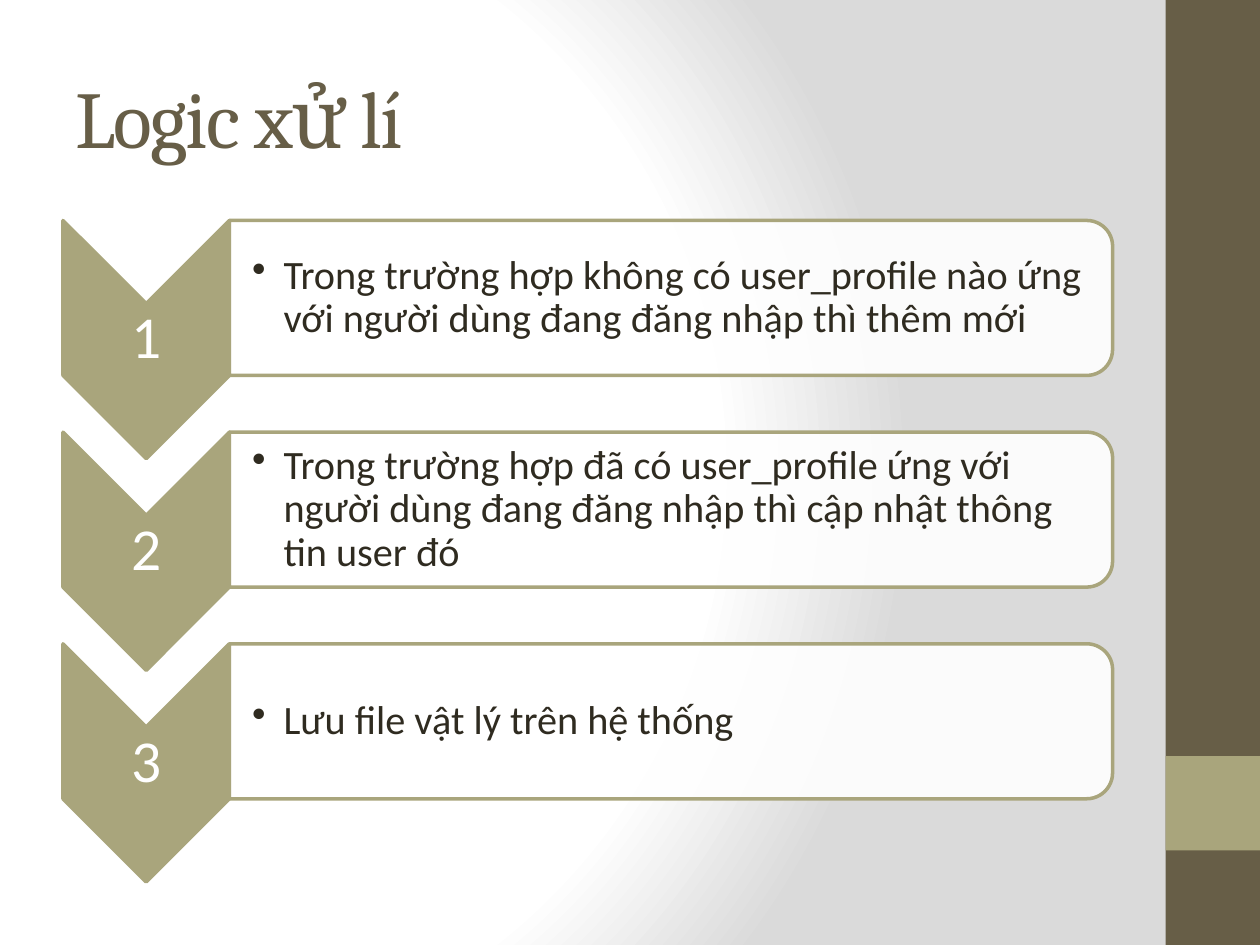
"""Build the "Logic xử lí" slide: three numbered chevrons with text cards."""
from dataclasses import dataclass

from lxml import etree
from pptx import Presentation
from pptx.dml.color import RGBColor
from pptx.enum.shapes import MSO_SHAPE
from pptx.enum.text import MSO_ANCHOR, PP_ALIGN
from pptx.oxml.ns import qn
from pptx.util import Inches, Pt

RECTANGLE = MSO_SHAPE.RECTANGLE
CHEVRON = MSO_SHAPE.CHEVRON
CARD = MSO_SHAPE.ROUND_2_SAME_RECTANGLE
MIDDLE = MSO_ANCHOR.MIDDLE
LEFT, CENTER = PP_ALIGN.LEFT, PP_ALIGN.CENTER

STEPS = [
    "Trong trường hợp không có user_profile nào ứng với người dùng đang đăng nhập thì thêm mới",
    "Trong trường hợp đã có user_profile ứng với người dùng đang đăng nhập thì cập nhật thông tin user đó",
    "Lưu file vật lý trên hệ thống",
]
FIRST_TOP, STEP_PITCH = 1.75, 1.68


@dataclass(frozen=True)
class Theme:
    brown: str = "675E47"
    olive: str = "A9A57C"
    ink: str = "2F2B20"
    white: str = "FFFFFF"
    grey: str = "DADADA"
    heading_font: str = "Cambria"
    body_font: str = "Calibri"
    title_size: int = 46
    number_size: int = 34
    body_size: int = 23
    outline: int = 2


class SlideBuilder:
    def __init__(self, slide, theme):
        self.slide = slide
        self.theme = theme

    def background(self):
        self.slide.background.fill.gradient()
        gradient = self.slide.element.find(".//" + qn("a:gradFill"))
        for child in list(gradient):
            gradient.remove(child)
        stops = etree.SubElement(gradient, qn("a:gsLst"))
        for position, color in [(0, self.theme.white), (75, self.theme.white), (100, self.theme.grey)]:
            stop = etree.SubElement(stops, qn("a:gs"), pos=str(position * 1000))
            etree.SubElement(stop, qn("a:srgbClr"), val=color)
        path = etree.SubElement(gradient, qn("a:path"), path="circle")
        etree.SubElement(path, qn("a:fillToRect"), l="20000", t="50000", r="100000", b="50000")

    def block(self, kind, left, top, width, height, color, outline=None, opacity=100):
        shape = self.slide.shapes.add_shape(
            kind, Inches(left), Inches(top), Inches(width), Inches(height))
        shape.shadow.inherit = False
        shape.fill.solid()
        shape.fill.fore_color.rgb = RGBColor.from_string(color)
        if opacity < 100:
            fill_color = shape.element.spPr.find(qn("a:solidFill") + "/" + qn("a:srgbClr"))
            etree.SubElement(fill_color, qn("a:alpha"), val=str(opacity * 1000))
        if outline:
            shape.line.color.rgb = RGBColor.from_string(outline)
            shape.line.width = Pt(self.theme.outline)
        else:
            shape.line.fill.background()
        return shape

    def turned_block(self, kind, left, top, width, height, color, opacity=100):
        """Fill the given frame with a shape turned a quarter clockwise."""
        shape = self.block(kind, left + (width - height) / 2, top + (height - width) / 2,
                           height, width, color, self.theme.olive, opacity)
        shape.rotation = 90

    def text(self, words, left, top, width, height, font, size, color,
             insets=(0.1, 0.05, 0.1, 0.05), align=LEFT, line_spacing=1.0):
        box = self.slide.shapes.add_textbox(
            Inches(left), Inches(top), Inches(width), Inches(height))
        frame = box.text_frame
        frame.word_wrap = True
        frame.vertical_anchor = MIDDLE
        (frame.margin_left, frame.margin_top,
         frame.margin_right, frame.margin_bottom) = map(Inches, insets)
        paragraph = frame.paragraphs[0]
        paragraph.alignment = align
        paragraph.line_spacing = line_spacing
        run = paragraph.add_run()
        run.text = words
        run.font.name = font
        run.font.size = Pt(size)
        run.font.color.rgb = RGBColor.from_string(color)
        return paragraph

    def title(self, words):
        theme = self.theme
        paragraph = self.text(words, 0.5, 0.3, 8.33, 1.25,
                              theme.heading_font, theme.title_size, theme.brown)
        paragraph.runs[0].font._element.set("spc", "-100")

    def bullet(self, paragraph):
        paragraph.level = 1
        properties = paragraph._p.get_or_add_pPr()
        properties.set("marL", str(Inches(0.25)))
        properties.set("indent", str(Inches(-0.25)))
        etree.SubElement(properties, qn("a:buChar"), char="•")

    def step(self, number, words, top):
        theme = self.theme
        self.turned_block(CHEVRON, 0.5, top, 1.32, 1.89, theme.olive)
        self.text(str(number), 0.5, top + 0.66, 1.32, 0.57,
                  theme.body_font, theme.number_size, theme.white,
                  (0.02,) * 4, CENTER, 0.9)
        self.turned_block(CARD, 1.82, top, 7.01, 1.23, theme.white, 90)
        description = self.text(words, 1.82, top + 0.06, 6.95, 1.11,
                                theme.body_font, theme.body_size, theme.ink,
                                (0.18, 0.02, 0.02, 0.02), LEFT, 0.9)
        self.bullet(description)


def main():
    presentation = Presentation()
    presentation.slide_width, presentation.slide_height = Inches(10), Inches(7.5)
    slide = presentation.slides.add_slide(presentation.slide_layouts[6])
    theme = Theme()
    builder = SlideBuilder(slide, theme)
    builder.background()
    builder.block(RECTANGLE, 9.25, 0, 0.75, 7.5, theme.brown)
    builder.block(RECTANGLE, 9.25, 6, 0.75, 0.75, theme.olive)
    builder.title("Logic xử lí")
    for index, words in enumerate(STEPS):
        builder.step(index + 1, words, FIRST_TOP + index * STEP_PITCH)
    presentation.save("out.pptx")


if __name__ == "__main__":
    main()
